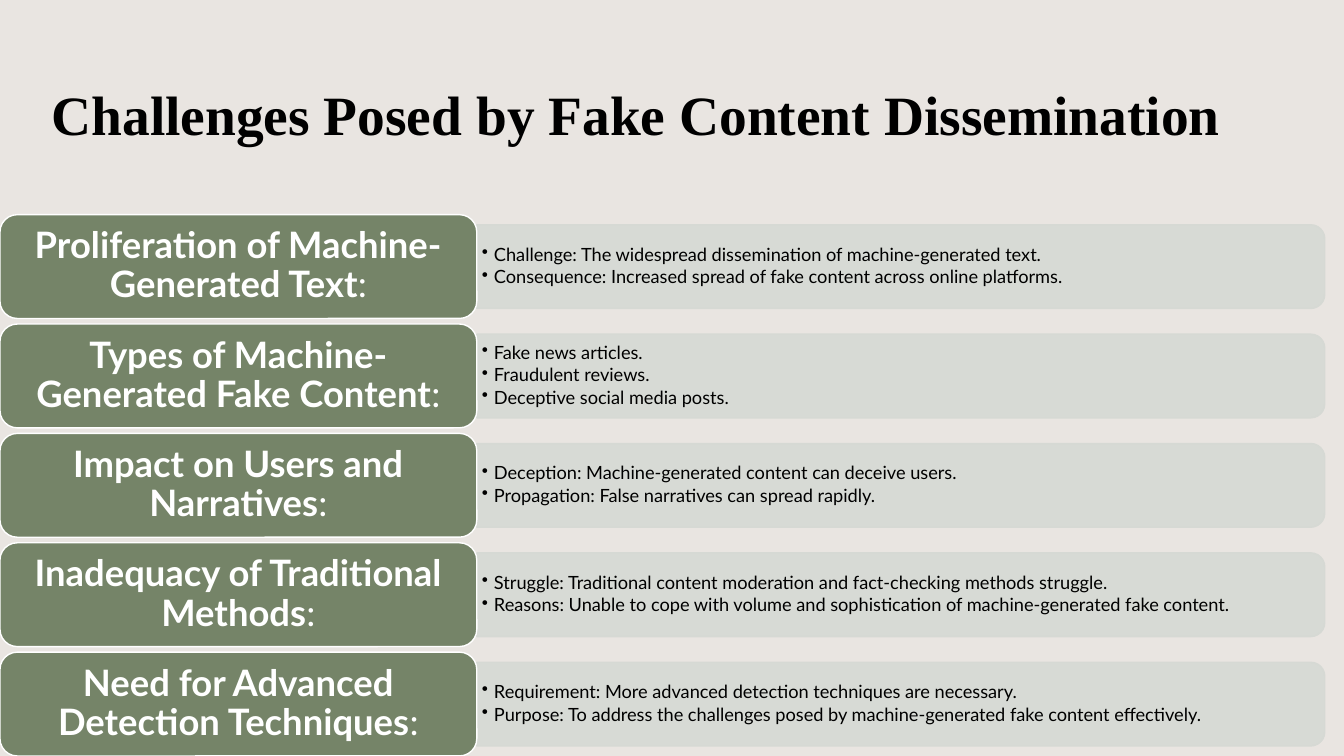
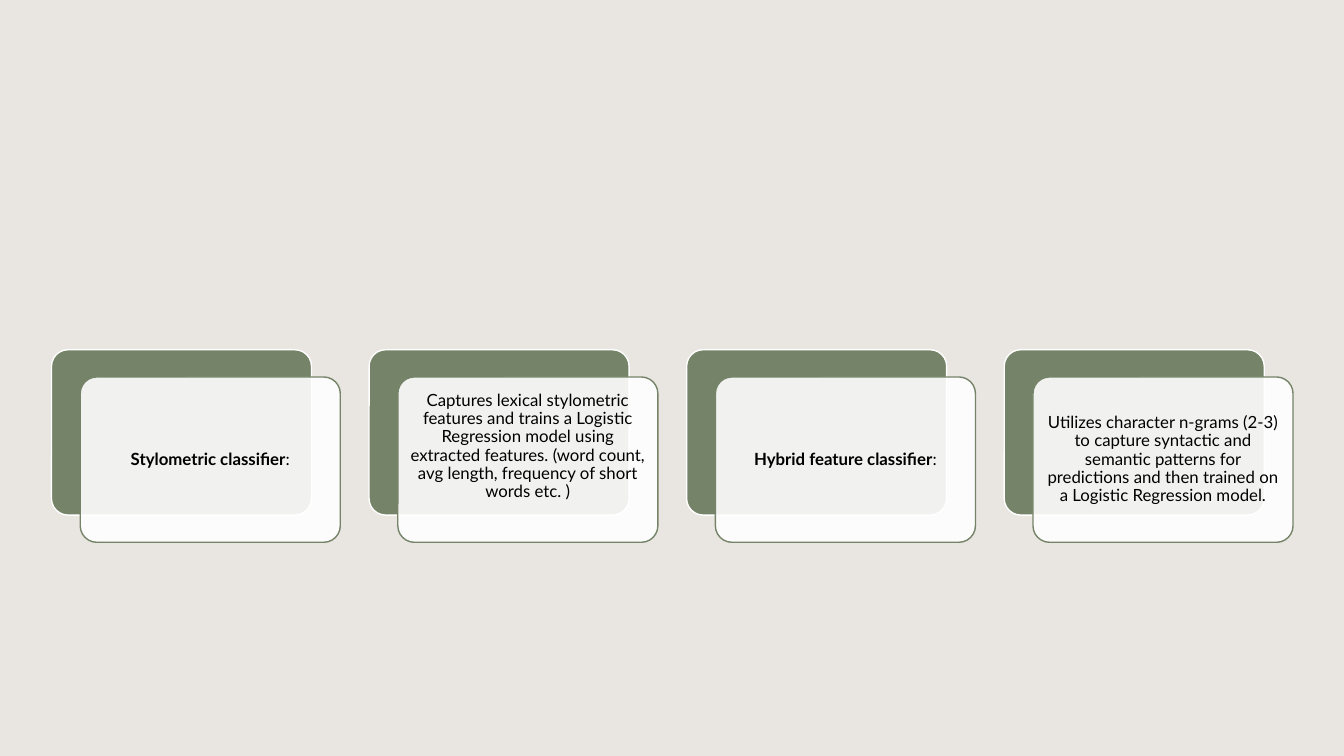
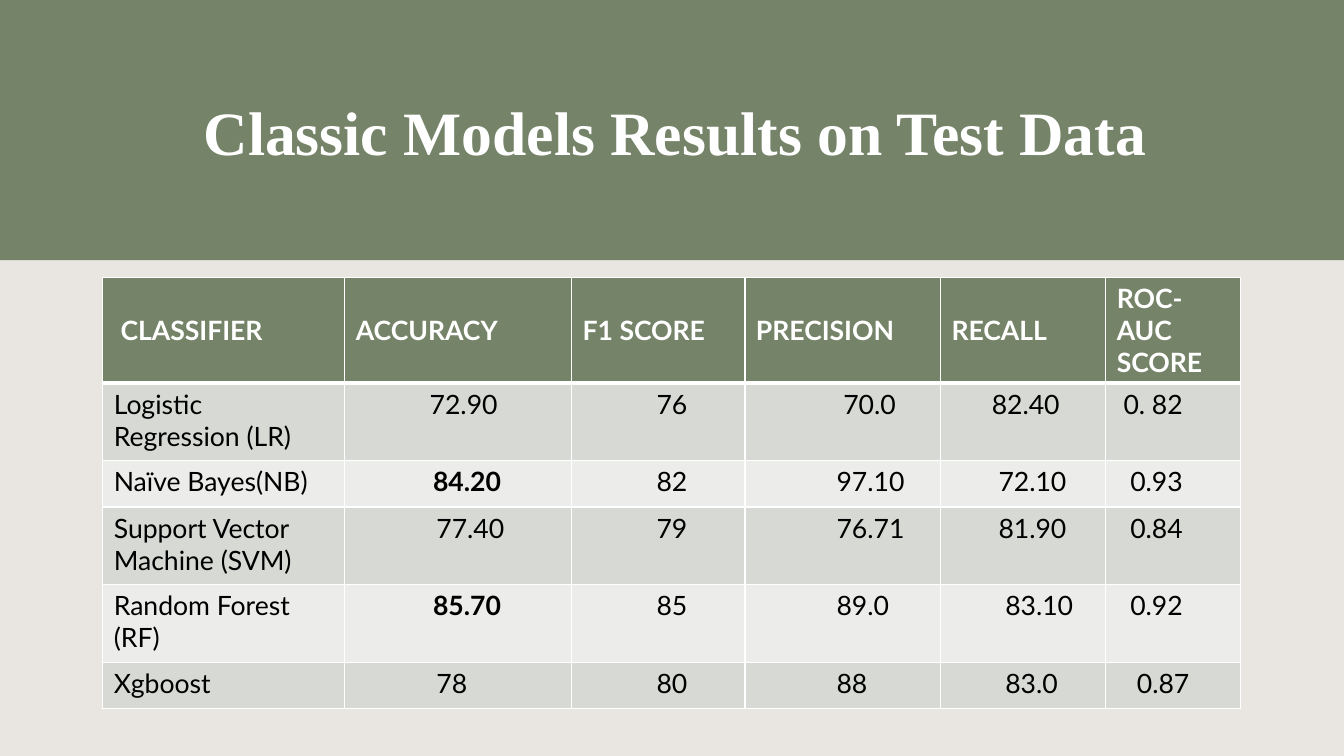
from dataclasses import dataclass, replace
from typing import Any, Optional

from lxml.etree import SubElement
from pptx import Presentation
from pptx.dml.color import RGBColor as RGB
from pptx.enum.shapes import MSO_SHAPE as Preset
from pptx.enum.text import MSO_ANCHOR as Anchor, MSO_AUTO_SIZE as AutoSize, PP_ALIGN as Align
from pptx.oxml.ns import qn
from pptx.util import Emu, Inches, Pt

HEIGHT = Inches(7.5)
WIDTH = Emu(HEIGHT * 16 // 9)
TITLE_ONLY, BLANK = 5, 6


@dataclass(frozen=True)
class Theme:
    paper: str = "E9E5E1"
    green: str = "758468"
    band: str = "D6D9D4"
    pale: str = "ECEDEB"
    white: str = "FFFFFF"
    black: str = "000000"
    body: str = "Lato"
    heading: str = "Times New Roman"
    topic_size: float = 26
    bullet_size: float = 13
    card_size: float = 12
    table_size: float = 19


T = Theme()


@dataclass(frozen=True)
class Box:
    """A rectangle in percent of the slide's width and height."""
    x: float
    y: float
    w: float
    h: float

    def moved(self, dx: float = 0, dy: float = 0) -> "Box":
        return replace(self, x=self.x + dx, y=self.y + dy)

    def emu(self) -> tuple[Emu, ...]:
        return (across(self.x), down(self.y), across(self.w), down(self.h))


@dataclass(frozen=True)
class Topic:
    label: str
    bullets: tuple[str, ...]


@dataclass(frozen=True)
class Card:
    text: str
    bold: bool = False
    lift: float = 0  # extra bottom inset, inches


@dataclass(frozen=True)
class Result:
    name: str
    scores: tuple[str, ...]
    steps: tuple[float, ...]  # indent of each score
    best: Optional[int] = None


TOPICS = (
    Topic("Proliferation of Machine-Generated Text", (
        "Challenge: The widespread dissemination of machine-generated text.",
        "Consequence: Increased spread of fake content across online platforms.")),
    Topic("Types of Machine-Generated Fake Content", (
        "Fake news articles.", "Fraudulent reviews.", "Deceptive social media posts.")),
    Topic("Impact on Users and Narratives", (
        "Deception: Machine-generated content can deceive users.",
        "Propagation: False narratives can spread rapidly.")),
    Topic("Inadequacy of Traditional Methods", (
        "Struggle: Traditional content moderation and fact-checking methods struggle.",
        "Reasons: Unable to cope with volume and sophistication of machine-generated fake content.")),
    Topic("Need for Advanced Detection Techniques", (
        "Requirement: More advanced detection techniques are necessary.",
        "Purpose: To address the challenges posed by machine-generated fake content effectively.")),
)
CARDS = (
    Card("Stylometric classifier", bold=True),
    Card("Captures lexical stylometric features and trains a Logistic Regression model using "
         "extracted features. (word count, avg length, frequency of short words etc. )", lift=0.26),
    Card("Hybrid feature classifier", bold=True),
    Card("Utilizes character n-grams (2-3) to capture syntactic and semantic patterns for "
         "predictions and then trained on a Logistic Regression model."),
)
HEADERS = ("CLASSIFIER", "ACCURACY", "F1 SCORE", "PRECISION", "RECALL", "ROC-AUC SCORE")
RESULTS = (
    Result("Logistic Regression (LR)", ("72.90", "76", "70.0", "82.40", "0. 82"), (11, 11, 13, 6, 1)),
    Result("Naïve Bayes(NB)", ("84.20", "82", "97.10", "72.10", "0.93"), (11.5, 11, 12, 7, 2), 0),
    Result("Support Vector Machine (SVM)", ("77.40", "79", "76.71", "81.90", "0.84"),
           (12, 11, 12, 7, 2)),
    Result("Random Forest (RF)", ("85.70", "85", "89.0", "83.10", "0.92"), (11.5, 11, 12, 8, 2), 0),
    Result("Xgboost", ("78", "80", "88", "83.0", "0.87"), (12, 11, 12, 8, 3)),
)
COLUMN_SHARES = (18, 16.88, 12.9, 14.55, 12.3, 10.05)
ROW_SHARES = (13.87, 10.27, 6.13, 10.27, 10.27, 6.13)
INDENT_STEP = Pt(4.8)


def across(share: float) -> Emu:
    return Emu(round(WIDTH * share / 100))


def down(share: float) -> Emu:
    return Emu(round(HEIGHT * share / 100))


def assign(obj: Any, values: dict[str, Any]) -> None:
    for name, value in values.items():
        setattr(obj, name, value)


def write(p: Any, text: str, size: float, color: str, bold: bool = False,
          font: str = T.body) -> None:
    r = p.add_run()
    r.text = text
    assign(r.font, {"name": font, "size": Pt(size), "bold": bold})
    r.font.color.rgb = RGB.from_string(color)


def set_frame(tf: Any, x: float, y: float, lift: float = 0) -> None:
    """Wrap and centre the text vertically, with insets in inches."""
    assign(tf, {"word_wrap": True, "vertical_anchor": Anchor.MIDDLE, "auto_size": AutoSize.NONE,
                "margin_left": Inches(x), "margin_right": Inches(x),
                "margin_top": Inches(y), "margin_bottom": Inches(y + lift)})


def set_alpha(fill: Any, percent: int) -> None:
    color = fill._xPr.find(qn("a:solidFill"))[0]
    SubElement(color, qn("a:alpha"), val=str(percent * 1000))


def add_block(s: Any, preset: Any, box: Box, fill: str, line: Optional[str] = None,
              alpha: int = 100, corner: Optional[float] = None) -> Any:
    sp = s.shapes.add_shape(preset, *box.emu())
    sp.shadow.inherit = False
    sp.fill.solid()
    sp.fill.fore_color.rgb = RGB.from_string(fill)
    if alpha < 100:
        set_alpha(sp.fill, alpha)
    if line:
        sp.line.color.rgb = RGB.from_string(line)
        sp.line.width = Pt(1)
    else:
        sp.line.fill.background()
    if corner is not None:
        sp.adjustments[0] = corner
    return sp


def centred(sp: Any) -> Any:
    p = sp.text_frame.paragraphs[0]
    assign(p, {"alignment": Align.CENTER, "line_spacing": 0.9})
    return p


def set_title(s: Any, text: str, box: Box, size: float, color: str) -> Any:
    title = s.shapes.title
    assign(title, dict(zip(("left", "top", "width", "height"), box.emu())))
    set_frame(title.text_frame, 0.1, 0.05)
    p = title.text_frame.paragraphs[0]
    p.alignment = Align.LEFT
    write(p, text, size, color, True, T.heading)
    return title


def add_bullets(s: Any, box: Box, bullets: tuple[str, ...]) -> None:
    tf = s.shapes.add_textbox(*box.emu()).text_frame
    set_frame(tf, 0.05, 0.03)
    for i, text in enumerate(bullets):
        p = tf.add_paragraph() if i else tf.paragraphs[0]
        pPr = p._p.get_or_add_pPr()
        indent = Inches(0.12)
        pPr.set("marL", str(indent))
        pPr.set("indent", str(-indent))
        SubElement(pPr, qn("a:buChar"), char="•")
        assign(p, {"alignment": Align.LEFT, "line_spacing": 0.9})
        if i:
            p.space_before = Pt(2)
        write(p, text, T.bullet_size, T.black)


def add_bar(s: Any, box: Box) -> None:
    """Bar with its right-hand corners rounded: an upright shape turned a quarter."""
    sp = add_block(s, Preset.ROUND_2_SAME_RECTANGLE, box, T.band, T.band, 90)
    x, y, w, h = box.emu()
    assign(sp, {"left": x + (w - h) // 2, "top": y + (h - w) // 2,
                "width": h, "height": w, "rotation": 90})


def draw_topic(s: Any, label_box: Box, topic: Topic) -> None:
    middle = label_box.y + label_box.h / 2
    bar_h, text_h = 11.07, 9.87
    add_bar(s, Box(label_box.w, middle - bar_h / 2, 63.09, bar_h))
    add_bullets(s, Box(label_box.w, middle - text_h / 2, 62.79, text_h), topic.bullets)
    sp = add_block(s, Preset.ROUNDED_RECTANGLE, label_box, T.green, T.white)
    set_frame(sp.text_frame, 0.11, 0.05)
    p = centred(sp)
    write(p, topic.label, T.topic_size, T.white, True)
    write(p, ":", T.topic_size, T.white)


def draw_card(s: Any, box: Box, card: Card) -> None:
    add_block(s, Preset.ROUNDED_RECTANGLE, box, T.green, T.white, corner=0.1)
    sp = add_block(s, Preset.ROUNDED_RECTANGLE, box.moved(2.14, 3.6), T.white, T.green, 90, 0.1)
    set_frame(sp.text_frame, 0.05, 0.05, card.lift)
    p = centred(sp)
    write(p, card.text, T.card_size, T.black, card.bold)
    if card.bold:
        write(p, ":", T.card_size, T.black)


def set_borders(cell: Any, top: float, bottom: float) -> None:
    tcPr = cell._tc.get_or_add_tcPr()
    for side, width in {"L": 1, "R": 1, "T": top, "B": bottom}.items():
        ln = SubElement(tcPr, qn(f"a:ln{side}"), w=str(Pt(width)))
        SubElement(SubElement(ln, qn("a:solidFill")), qn("a:srgbClr"), val=T.white)


def fill_cell(cell: Any, text: str, fill: str, color: str, bold: bool, steps: float,
              top: float = 1, bottom: float = 1, anchor: Any = Anchor.TOP) -> None:
    set_borders(cell, top, bottom)
    cell.fill.solid()
    cell.fill.fore_color.rgb = RGB.from_string(fill)
    assign(cell, {"margin_left": Inches(0.11) + round(INDENT_STEP * steps),
                  "margin_right": Inches(0.11), "margin_top": Inches(0.05),
                  "margin_bottom": Inches(0.05), "vertical_anchor": anchor})
    write(cell.text_frame.paragraphs[0], text, T.table_size, color, bold)


def draw_results(s: Any, box: Box) -> None:
    table = s.shapes.add_table(len(RESULTS) + 1, len(HEADERS), *box.emu()).table
    for column, share in zip(table.columns, COLUMN_SHARES):
        column.width = across(share)
    for row, share in zip(table.rows, ROW_SHARES):
        row.height = down(share)
    for c, text in enumerate(HEADERS):
        fill_cell(table.cell(0, c), text, T.green, T.white, True, 0 if c else 1,
                  bottom=3, anchor=Anchor.MIDDLE)
    for r, result in enumerate(RESULTS, 1):
        fill = T.band if r % 2 else T.pale
        top = 3 if r == 1 else 1
        fill_cell(table.cell(r, 0), result.name, fill, T.black, False, 0, top)
        for c, (score, steps) in enumerate(zip(result.scores, result.steps)):
            fill_cell(table.cell(r, c + 1), score, fill, T.black, c == result.best, steps, top)


def challenges_slide(prs: Any) -> None:
    s = prs.slides.add_slide(prs.slide_layouts[TITLE_ONLY])
    set_title(s, "Challenges Posed by Fake Content Dissemination",
              Box(3.08, 5.33, 90.1, 19.33), 39.6, T.black)
    first = Box(0, 28.4, 35.48, 13.73)
    pitch = (100 - first.y - first.h) / (len(TOPICS) - 1)
    for i, topic in enumerate(TOPICS):
        draw_topic(s, first.moved(dy=i * pitch), topic)


def classifiers_slide(prs: Any) -> None:
    s = prs.slides.add_slide(prs.slide_layouts[BLANK])
    first = Box(3.83, 46.27, 19.35, 21.87)
    for i, card in enumerate(CARDS):
        draw_card(s, first.moved(dx=i * 23.63), card)


def results_slide(prs: Any) -> None:
    s = prs.slides.add_slide(prs.slide_layouts[TITLE_ONLY])
    title = set_title(s, "Classic Models Results on Test Data",
                      Box(14.4, 5.6, 77.5, 23.33), 44, T.white)
    band = add_block(s, Preset.RECTANGLE, Box(0, 0, 100, 34.4), T.green)
    title.element.addprevious(band.element)
    draw_results(s, Box(7.65, 36.67, sum(COLUMN_SHARES), sum(ROW_SHARES)))


def main() -> None:
    prs = Presentation()
    assign(prs, {"slide_width": WIDTH, "slide_height": HEIGHT})
    paper = prs.slide_master.background.fill
    paper.solid()
    paper.fore_color.rgb = RGB.from_string(T.paper)
    for build in (challenges_slide, classifiers_slide, results_slide):
        build(prs)
    prs.save("out.pptx")


if __name__ == "__main__":
    main()
